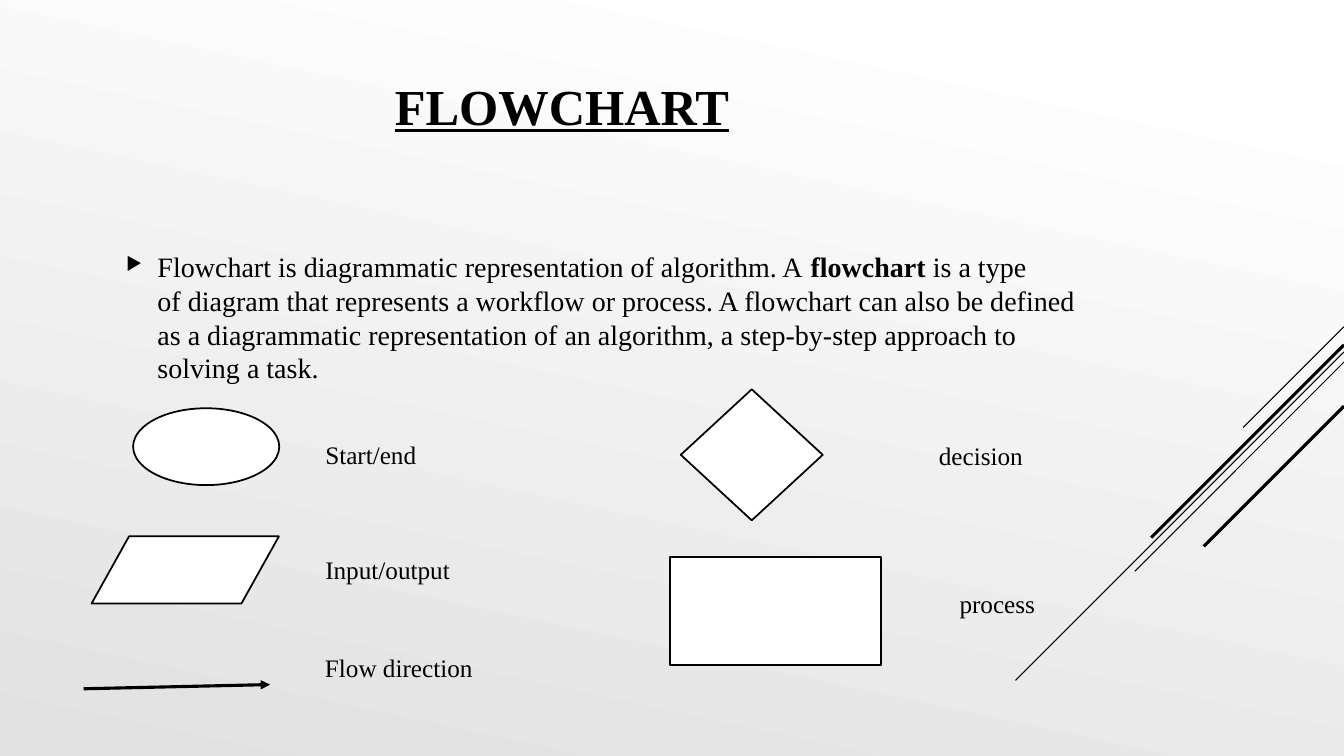
from dataclasses import dataclass

from lxml import etree
from pptx import Presentation
from pptx import util as u
from pptx.dml import color as c
from pptx.enum import shapes as s, text as t
from pptx.oxml import ns

INK = {"black": "000000", "white": "FFFFFF", "grey": "E1E1E1"}
FONT = "Times New Roman"
COLS, ROWS = 160, 90
WIDE, HIGH = u.Inches(13.33), u.Inches(7.5)
TIE = chr(160)


@dataclass
class Box:
    left: float
    top: float
    wide: float
    high: float


@dataclass
class Symbol:
    kind: s.MSO_SHAPE
    box: Box


@dataclass
class Label:
    words: str
    left: float
    top: float


@dataclass
class Stripe:
    top: float
    run: float
    weight: float


SYMBOLS = [
    Symbol(s.MSO_SHAPE.FLOWCHART_DATA, Box(10.9, 63.85, 22.3, 8)),
    Symbol(s.MSO_SHAPE.DIAMOND, Box(81.05, 46.35, 16.9, 15.6)),
    Symbol(s.MSO_SHAPE.RECTANGLE, Box(79.8, 66.35, 25.1, 12.8)),
    Symbol(s.MSO_SHAPE.OVAL, Box(15.85, 48.6, 17.4, 9.15)),
]
LABELS = [
    Label("Start/end", 37.55, 51.7),
    Label("Input/output", 37.55, 65.4),
    Label("Flow direction", 37.5, 77.1),
    Label("decision", 110.6, 51.8),
    Label("process", 113.05, 69.5),
]
STRIPES = [
    Stripe(38.9, 12, 0.75),
    Stripe(41.9, 39.1, 0.75),
    Stripe(43.1, 24.9, 0.75),
    Stripe(41.05, 22.95, 2.25),
    Stripe(48.35, 16.7, 2.25),
]
BODY = [
    ("Flowchart is diagrammatic representation of algorithm. A~", False),
    ("flowchart", True),
    ("~is a type of~diagram~that represents a~workflow or~process. "
     "A flowchart can also be defined as a diagrammatic representation of "
     "an~algorithm, a step-by-step approach to solving a task.", False),
]


def hue(name: str) -> c.RGBColor:
    return c.RGBColor.from_string(INK[name])


def col(count: float) -> int:
    return round(WIDE * count / COLS)


def row(count: float) -> int:
    return round(HIGH * count / ROWS)


def place(box: Box) -> tuple[int, int, int, int]:
    return col(box.left), row(box.top), col(box.wide), row(box.high)


def style(run, size: float, bold: bool = False, under: bool = False) -> None:
    font = run.font
    font.name, font.size = FONT, u.Pt(size)
    font.bold, font.underline = bold, under
    font.color.rgb = hue("black")


def add_text(slide, box: Box, anchor: t.MSO_ANCHOR):
    frame = slide.shapes.add_textbox(*place(box)).text_frame
    frame.word_wrap = True
    frame.vertical_anchor = anchor
    return frame


def add_line(slide, start: tuple[float, float], end: tuple[float, float],
             weight: float):
    line = slide.shapes.add_connector(
        s.MSO_CONNECTOR.STRAIGHT,
        col(start[0]), row(start[1]), col(end[0]), row(end[1]))
    line.line.color.rgb = hue("black")
    line.line.width = u.Pt(weight)
    etree.SubElement(line._element.spPr, ns.qn("a:effectLst"))
    return line


def add_symbol(slide, symbol: Symbol) -> None:
    shape = slide.shapes.add_shape(symbol.kind, *place(symbol.box))
    shape.shadow.inherit = False
    shape.fill.solid()
    shape.fill.fore_color.rgb = hue("white")
    shape.line.color.rgb = hue("black")
    shape.line.width = u.Pt(1.25)


def add_label(slide, label: Label) -> None:
    frame = add_text(slide, Box(label.left, label.top, 24.6, 4.8),
                     t.MSO_ANCHOR.TOP)
    frame.auto_size = t.MSO_AUTO_SIZE.SHAPE_TO_FIT_TEXT
    frame.text = label.words
    style(frame.paragraphs[0].runs[0], 18)


def add_title(slide) -> None:
    frame = add_text(slide, Box(10.9, 2.6, 112, 19.8), t.MSO_ANCHOR.MIDDLE)
    frame.text = "FLOWCHART"
    para = frame.paragraphs[0]
    para.alignment = t.PP_ALIGN.CENTER
    style(para.runs[0], 36, True, True)


def add_bullet(para) -> None:
    props = para._p.get_or_add_pPr()
    dent = u.Inches(0.31)
    props.set("marL", str(dent))
    props.set("indent", str(-dent))
    tint = etree.SubElement(props, ns.qn("a:buClr"))
    etree.SubElement(tint, ns.qn("a:srgbClr"), val=INK["black"])
    etree.SubElement(props, ns.qn("a:buSzPct"), val="65000")
    etree.SubElement(props, ns.qn("a:buChar"), char="▶")


def add_body(slide) -> None:
    frame = add_text(slide, Box(13.85, 27, 118.8, 21.5), t.MSO_ANCHOR.MIDDLE)
    para = frame.paragraphs[0]
    para.line_spacing = 1.0
    para.space_before, para.space_after = u.Pt(4), u.Pt(6)
    add_bullet(para)
    for words, bold in BODY:
        run = para.add_run()
        run.text = words.replace("~", TIE)
        style(run, 20, bold)


def paint_back(slide) -> None:
    fill = slide.background.fill
    fill.gradient()
    fill.gradient_angle = 360 - 102
    for stop, (spot, name) in zip(fill.gradient_stops,
                                  [(0.1, "white"), (1, "grey")]):
        stop.position = spot
        stop.color.rgb = hue(name)


def main() -> None:
    deck = Presentation()
    deck.slide_width, deck.slide_height = WIDE, HIGH
    slide = deck.slides.add_slide(deck.slide_layouts[6])
    paint_back(slide)
    for stripe in STRIPES:
        add_line(slide, (COLS, stripe.top),
                 (COLS - stripe.run, stripe.top + stripe.run), stripe.weight)
    add_title(slide)
    add_body(slide)
    for symbol in SYMBOLS:
        add_symbol(slide, symbol)
    arrow = add_line(slide, (9.95, 82), (32.15, 81.5), 2.25)
    etree.SubElement(arrow.line._get_or_add_ln(), ns.qn("a:tailEnd"),
                     type="triangle")
    for label in LABELS:
        add_label(slide, label)
    deck.save("out.pptx")


if __name__ == "__main__":
    main()
